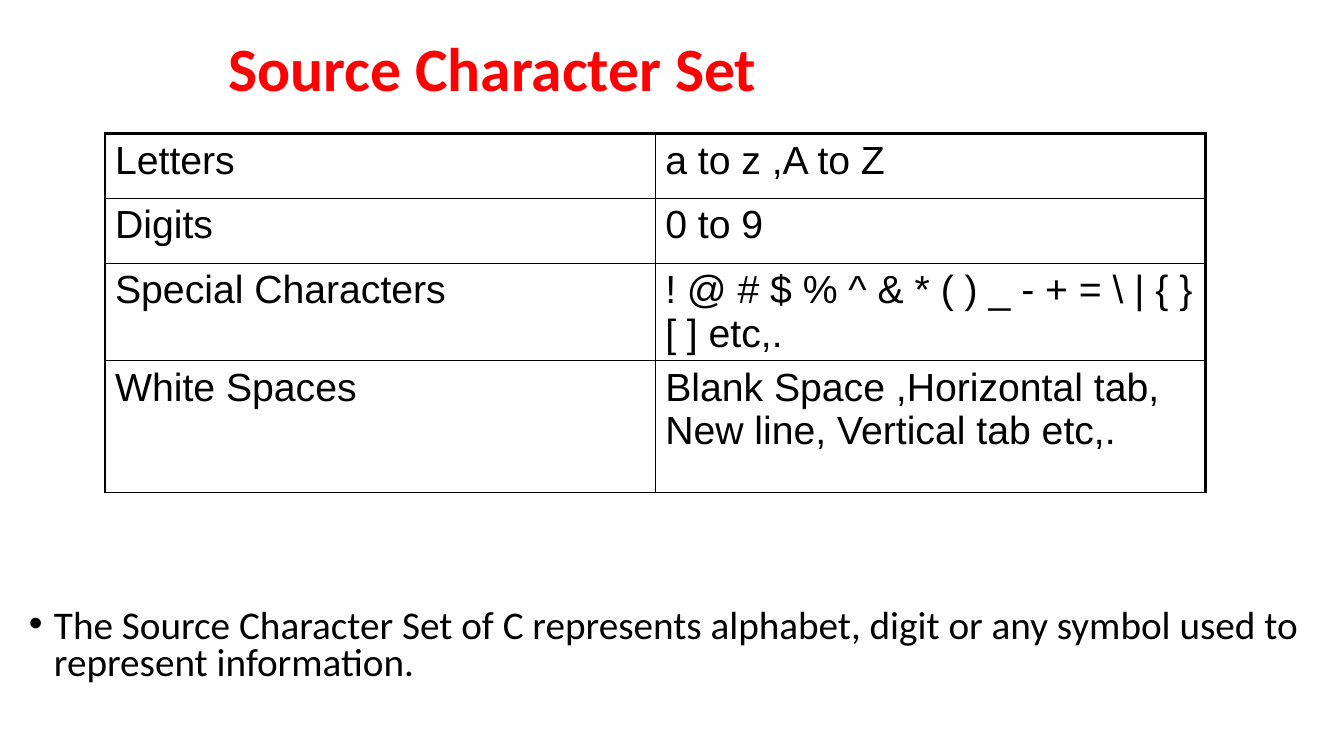
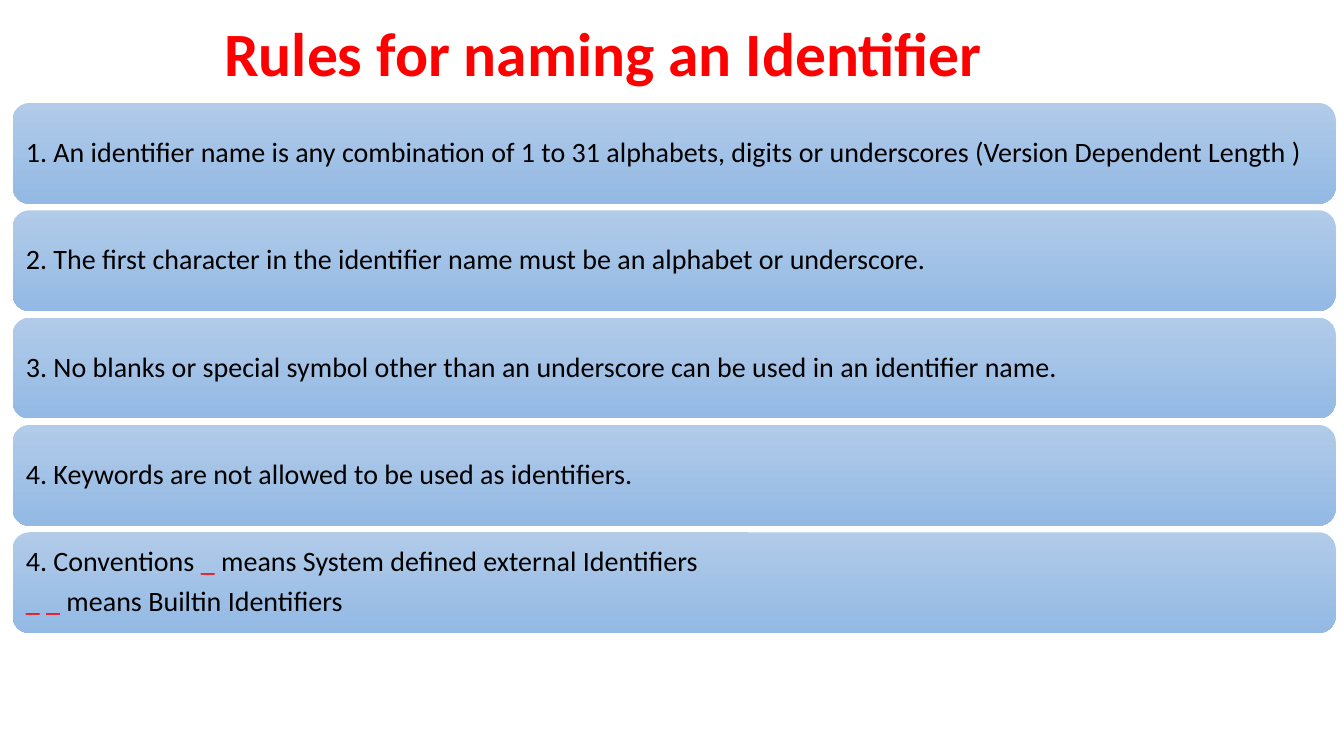
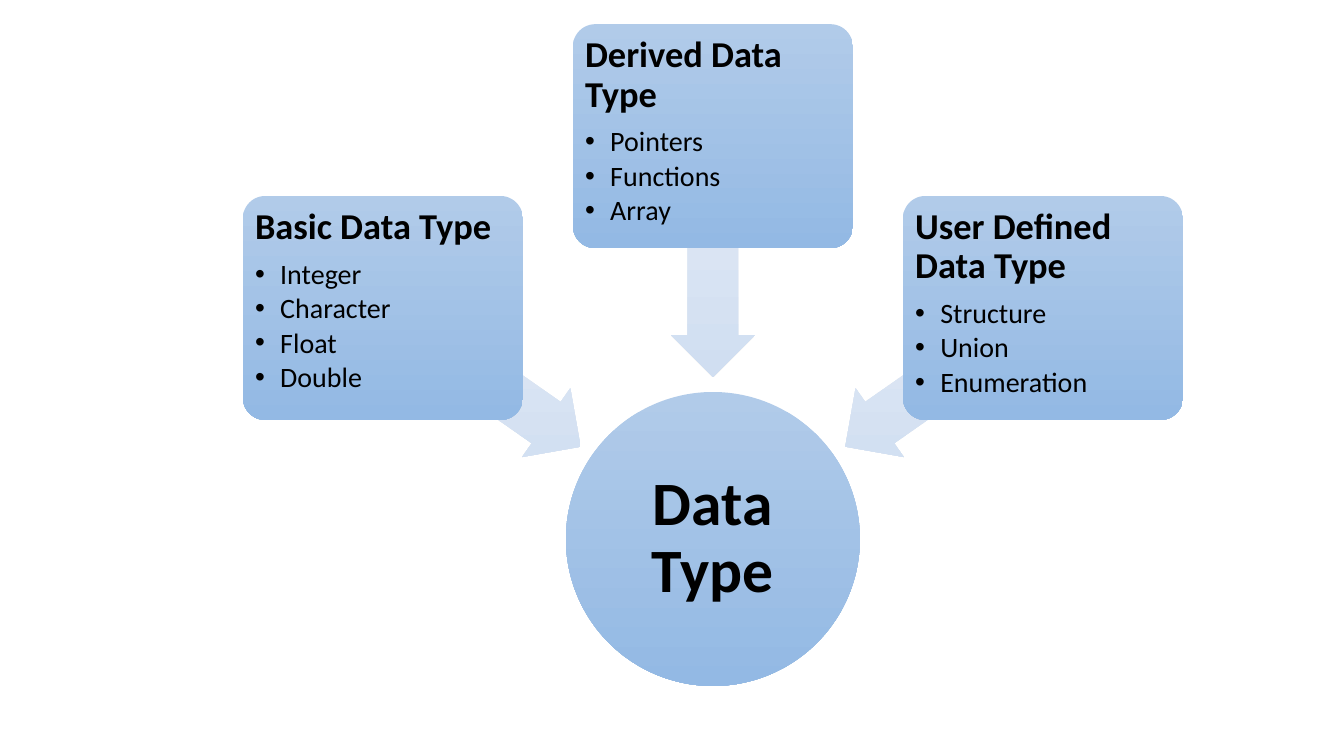
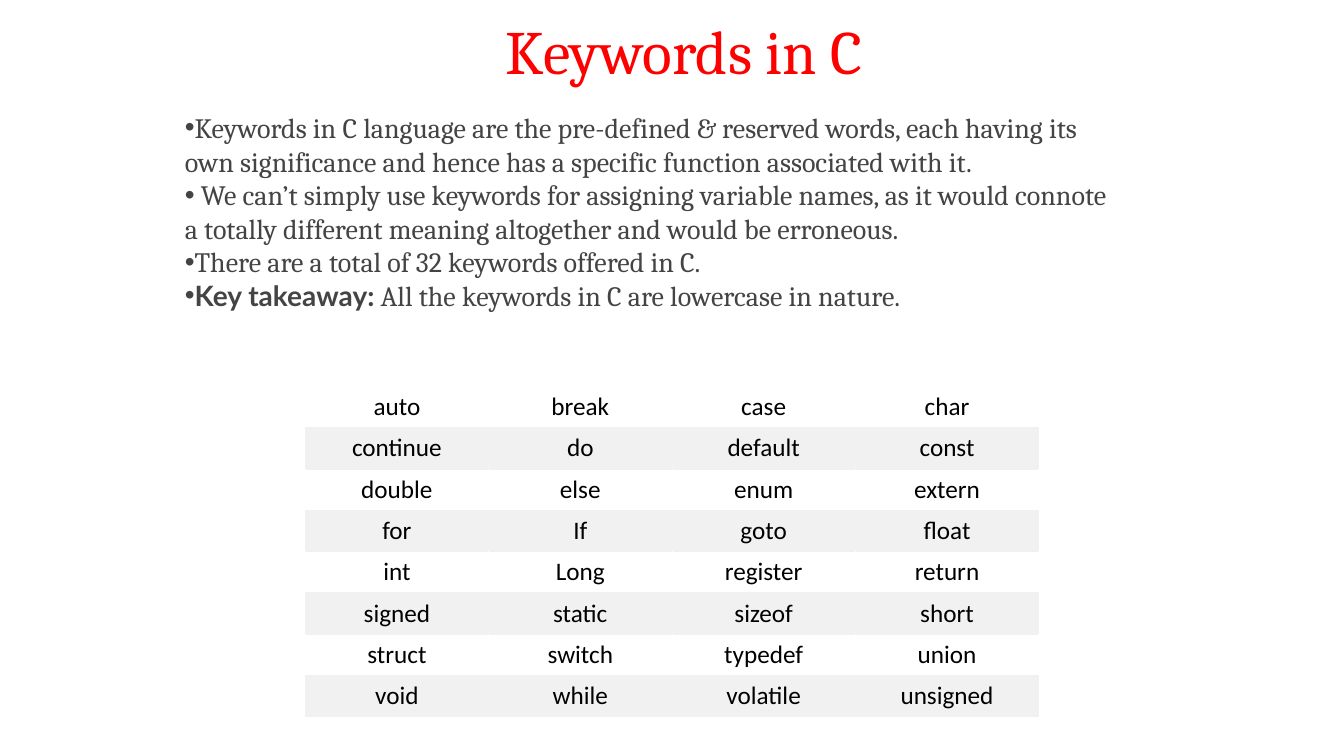
from lxml import etree
from pptx import Presentation
from pptx.dml.color import RGBColor
from pptx.enum.shapes import MSO_SHAPE
from pptx.enum.text import MSO_ANCHOR, MSO_AUTO_SIZE, PP_ALIGN
from pptx.oxml.ns import qn
from pptx.util import Pt

RED = RGBColor(0xFF, 0x00, 0x00)
BLACK = RGBColor(0x00, 0x00, 0x00)
WHITE = RGBColor(0xFF, 0xFF, 0xFF)
CHARCOAL = RGBColor(0x44, 0x44, 0x44)
BAND = RGBColor(0xF1, 0xF1, 0xF1)
BLUE = (RGBColor(0xB1, 0xCB, 0xE9), RGBColor(0x93, 0xB9, 0xE4))
PALE = (RGBColor(0xE3, 0xEB, 0xF6), RGBColor(0xD0, 0xDE, 0xF1))

LEFT, CENTER = PP_ALIGN.LEFT, PP_ALIGN.CENTER
TOP, MIDDLE = MSO_ANCHOR.TOP, MSO_ANCHOR.MIDDLE
RECT, ROUND = MSO_SHAPE.RECTANGLE, MSO_SHAPE.ROUNDED_RECTANGLE
OVAL, ARROW = MSO_SHAPE.OVAL, MSO_SHAPE.LEFT_ARROW
TITLE_ONLY, BLANK = 5, 6


class Deck:
    font = "Calibri"

    def __init__(self):
        self.prs = Presentation()
        self.prs.slide_width, self.prs.slide_height = Pt(960), Pt(540)
        self.s = None

    def slide(self, layout=TITLE_ONLY):
        self.s = self.prs.slides.add_slide(self.prs.slide_layouts[layout])

    def style(self, p, size, color=BLACK, font=None, bold=False, align=LEFT,
              spacing=1.0, after=0):
        p.alignment, p.line_spacing = align, spacing
        p.space_before, p.space_after = Pt(0), Pt(after)
        for r in p.runs:
            r.font.size, r.font.bold = Pt(size), bold
            r.font.name, r.font.color.rgb = font or self.font, color

    def frame(self, tf, inset, anchor=TOP):
        tf.word_wrap, tf.auto_size = True, MSO_AUTO_SIZE.NONE
        tf.vertical_anchor = anchor
        tf.margin_left = tf.margin_right = Pt(inset)
        tf.margin_top = tf.margin_bottom = Pt(inset)

    def paragraph(self, tf, runs, bullet=False, indent=0, **style):
        p = tf.paragraphs[0]
        if p.runs:
            p = tf.add_paragraph()
        for text in runs:
            p.add_run().text = text
        if bullet:
            pPr = p._p.get_or_add_pPr()
            pPr.set("marL", str(Pt(indent)))
            pPr.set("indent", str(-Pt(indent)))
            etree.SubElement(pPr, qn("a:buFont")).set("typeface", "Arial")
            etree.SubElement(pPr, qn("a:buChar")).set("char", "•")
        self.style(p, **style)
        return p

    def title(self, text, left, top, width, height, **style):
        sp = self.s.shapes.title
        sp.left, sp.top, sp.width, sp.height = Pt(left), Pt(top), Pt(width), Pt(height)
        tf = sp.text_frame
        tf.text = text
        self.frame(tf, 4, MIDDLE)
        tf.margin_left = tf.margin_right = Pt(7.2)
        self.style(tf.paragraphs[0], 44, RED, **style)
        sp._element.getparent().append(sp._element)

    def textbox(self, left, top, width, height, inset=0):
        sp = self.s.shapes.add_textbox(Pt(left), Pt(top), Pt(width), Pt(height))
        self.frame(sp.text_frame, inset)
        return sp.text_frame

    def shape(self, kind, left, top, width, height, colors=BLUE, inset=0, anchor=MIDDLE):
        sp = self.s.shapes.add_shape(kind, Pt(left), Pt(top), Pt(width), Pt(height))
        sp.shadow.inherit = False
        sp.line.fill.background()
        sp.fill.gradient()
        sp.fill.gradient_angle = 270
        sp._element.spPr.find(qn("a:gradFill")).set("rotWithShape", "0")
        for stop, color in zip(sp.fill.gradient_stops, colors):
            stop.color.rgb = color
        self.frame(sp.text_frame, inset, anchor)
        return sp

    def border(self, cell, **sides):
        tcPr = cell._tc.get_or_add_tcPr()
        for i, side in enumerate("LRTB"):
            color, width = sides[side]
            ln = etree.Element(qn(f"a:ln{side}"), w=str(Pt(width)))
            fill = etree.SubElement(ln, qn("a:solidFill"))
            etree.SubElement(fill, qn("a:srgbClr")).set("val", str(color))
            tcPr.insert(i, ln)

    def table(self, rows, left, top, col_width, heights, anchor=TOP, inset=7.2, **style):
        cols = len(rows[0])
        table = self.s.shapes.add_table(len(rows), cols, Pt(left), Pt(top),
                                        Pt(col_width * cols), Pt(sum(heights))).table
        table.first_row = table.horz_banding = False
        for col in table.columns:
            col.width = Pt(col_width)
        for row, height, texts in zip(table.rows, heights, rows):
            row.height = Pt(height)
            for cell, text in zip(row.cells, texts):
                cell.text = text
                cell.vertical_anchor = anchor
                cell.margin_left = cell.margin_right = Pt(inset)
                cell.margin_top = cell.margin_bottom = Pt(3.6)
                self.style(cell.text_frame.paragraphs[0], **style)
        return table


def character_set(d):
    d.slide()
    d.title("Source Character Set", 156, 6, 648, 90, bold=True, spacing=0.9)
    rows = [
        ("Letters", "a to z ,A to Z"),
        ("Digits", "0 to 9"),
        ("Special Characters", "! @ # $ % ^ & * ( ) _ - + = \\ | { } [ ] etc,."),
        ("White Spaces", "Blank Space ,Horizontal tab, New line, Vertical tab etc,."),
    ]
    table = d.table(rows, 75, 95.5, 393, (46.3, 46.3, 69.2, 94.2), size=28, font="Arial")
    thin, thick = (BLACK, 1), (BLACK, 2.25)
    for i, row in enumerate(table.rows):
        for j, cell in enumerate(row.cells):
            cell.fill.background()
            d.border(cell, L=thin if j else thick, R=thick if j else thin,
                     T=thin if i else thick, B=thin)
    tf = d.textbox(13.5, 431.4, 941, 70, inset=3.6)
    tf.margin_left = tf.margin_right = Pt(7.2)
    d.paragraph(tf, ["The Source Character Set of C represents alphabet, digit or any "
                     "symbol used to represent information."],
                bullet=True, indent=18, size=28, spacing=0.8)


def naming_rules(d):
    d.slide()
    d.title("Rules for naming an Identifier", 153, 8, 657, 65, bold=True, spacing=0.9)
    rules = [
        [["1. An identifier name is any combination of 1 to 31 alphabets, digits or "
          "underscores (Version Dependent Length )"]],
        [["2. The first character in the identifier name must be an alphabet or underscore."]],
        [["3. No blanks or special symbol other than an underscore can be used in an "
          "identifier name."]],
        [["4. Keywords are not allowed to be used as identifiers."]],
        [["4. Conventions", " _ ", "means System defined external Identifiers"],
         ["_ _", " means Builtin Identifiers"]],
    ]
    for i, rule in enumerate(rules):
        sp = d.shape(ROUND, 9, 73.6 + 76.65 * i, 945, 72, inset=6)
        for runs in rule:
            p = d.paragraph(sp.text_frame, runs, size=20, spacing=0.9, after=7)
            for r in p.runs:
                if r.text.strip(" _") == "":
                    r.font.color.rgb = RED


def data_types(d):
    d.slide(BLANK)
    center = 509.25
    hub = d.shape(OVAL, center - 105, 280, 210, 210, inset=2)
    d.paragraph(hub.text_frame, ["Data Type"], size=44, bold=True, align=CENTER, spacing=0.9)
    branches = [
        (-1, 140, 269.75, 215, "Basic Data Type", ["Integer", "Character", "Float", "Double"]),
        (0, 17.3, 183.4, 270, "Derived Data Type", ["Pointers", "Functions", "Array"]),
        (1, 140, 269.75, 325, "User Defined Data Type", ["Structure", "Union", "Enumeration"]),
    ]
    for side, top, arrow_y, angle, heading, members in branches:
        arrow = d.shape(ARROW, center + 165 * side - 86, arrow_y - 30, 172, 60, PALE)
        arrow.adjustments[0], arrow.adjustments[1] = 0.6, 0.5
        arrow.rotation = angle
        card = d.shape(ROUND, center + 235.75 * side - 100, top, 200, 160, inset=4, anchor=TOP)
        card.adjustments[0] = 0.1
        tf = card.text_frame
        d.paragraph(tf, [heading], size=26, bold=True, spacing=0.9, after=9)
        for member in members:
            d.paragraph(tf, [member], bullet=True, indent=18, size=20, spacing=0.9, after=3)


def keywords(d):
    d.slide()
    words = ("auto break case char continue do default const double else enum extern "
             "for If goto float int Long register return signed static sizeof short "
             "struct switch typedef union void while volatile unsigned").split()
    rows = [words[i:i + 4] for i in range(0, len(words), 4)]
    table = d.table(rows, 218, 276, 131, [29.5] * len(rows), anchor=MIDDLE, inset=3.6,
                    size=18, align=CENTER)
    for i, row in enumerate(table.rows):
        color = BAND if i % 2 else WHITE
        for cell in row.cells:
            cell.fill.solid()
            cell.fill.fore_color.rgb = color
            side, edge = (color, 0.75), (BAND, 0.75)
            d.border(cell, L=side, R=side, T=edge if i else side, B=edge)
    points = [
        ["Keywords in C language are the pre-defined & reserved words, each having its own "
         "significance and hence has a specific function associated with it."],
        [" We can’t simply use keywords for assigning variable names, as it would connote "
         "a totally different meaning altogether and would be erroneous."],
        ["There are a total of 32 keywords offered in C."],
        ["Key takeaway:", " All the keywords in C are lowercase in nature."],
    ]
    panel = d.shape(RECT, 132, 50, 666, 216.5, anchor=TOP)
    panel.fill.solid()
    panel.fill.fore_color.rgb = WHITE
    tf = panel.text_frame
    tf.margin_top = Pt(28.9)
    for runs in points:
        p = d.paragraph(tf, runs, bullet=True, size=20, color=CHARCOAL, font="Cambria")
    p.runs[0].font.name, p.runs[0].font.bold = "Lato", True
    d.title("Keywords in C", 354, 5.4, 297, 60, font="Cambria")


def main():
    d = Deck()
    character_set(d)
    naming_rules(d)
    data_types(d)
    keywords(d)
    d.prs.save("out.pptx")


if __name__ == "__main__":
    main()
